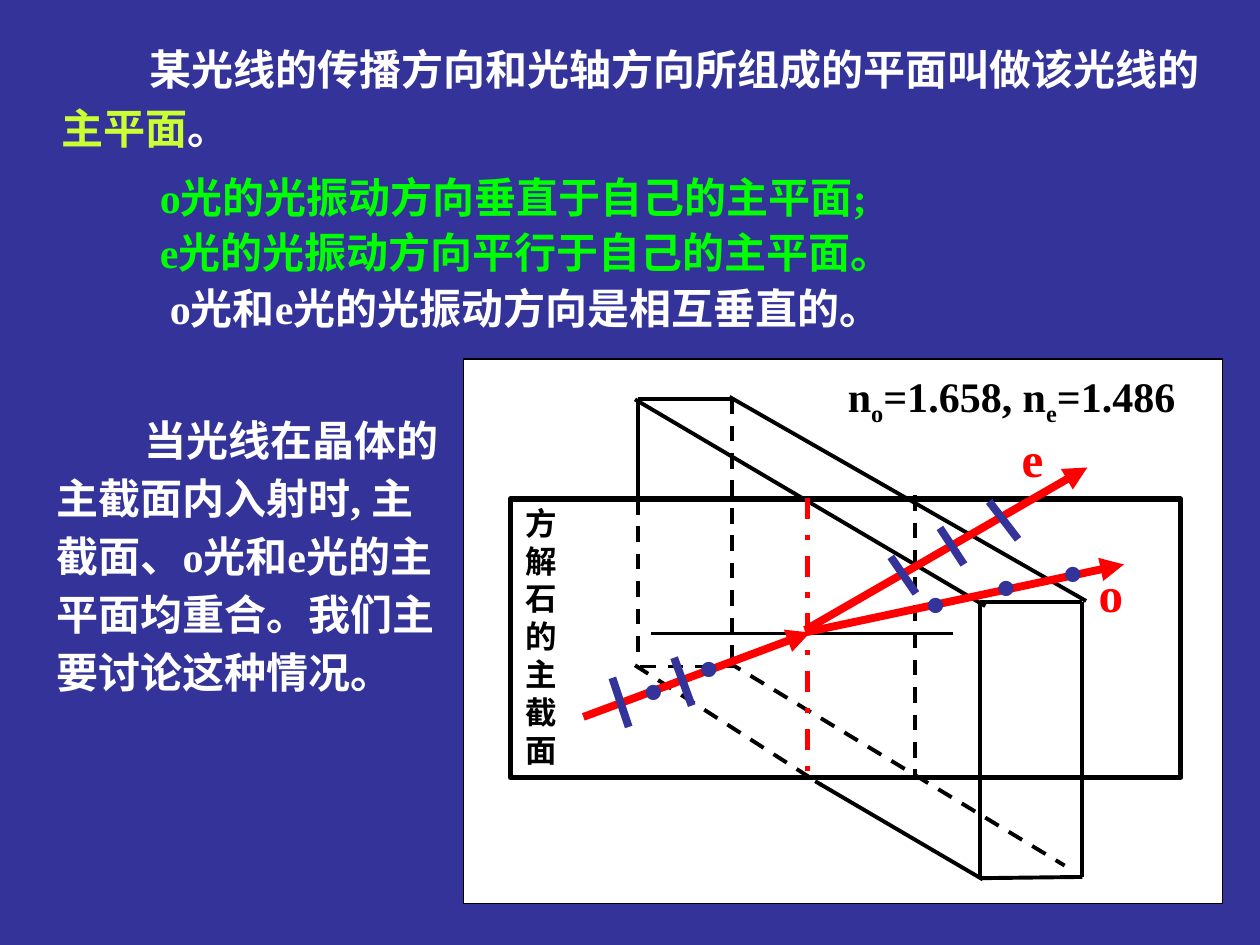
from lxml import etree
from pptx import Presentation
from pptx.dml.color import RGBColor
from pptx.enum.dml import MSO_LINE
from pptx.enum.shapes import MSO_CONNECTOR, MSO_SHAPE
from pptx.oxml.ns import qn
from pptx.util import Inches, Pt

RECT = MSO_SHAPE.RECTANGLE
STRAIGHT = MSO_CONNECTOR.STRAIGHT
DASH = MSO_LINE.DASH
DASH_DOT = MSO_LINE.DASH_DOT

BLUE, WHITE, BLACK = "333399", "FFFFFF", "000000"
RED, GREEN, LIME = "FF0000", "00FF00", "CCFF33"

CRYSTAL_SOLID = [
    (5.06, 3.17, 5.81, 3.17), (5.06, 3.17, 5.06, 3.94),
    (7.78, 4.79, 7.78, 6.98), (7.78, 4.78, 8.59, 4.78),
    (8.59, 4.78, 8.59, 6.96), (7.78, 6.97, 8.59, 6.96),
    (5.79, 3.15, 8.62, 4.77), (5.04, 3.17, 7.82, 4.81),
    (6.47, 6.2, 7.8, 6.98),
]
CRYSTAL_HIDDEN = [
    (5.06, 3.96, 5.06, 5.25), (5.81, 3.16, 5.81, 5.27),
    (5.08, 5.29, 5.83, 5.29), (5.77, 5.25, 8.45, 6.87),
    (5.04, 5.28, 6.52, 6.23), (7.26, 3.93, 7.26, 6.17),
]
RAYS = [(4.63, 5.69, 6.43, 5.02), (6.39, 5, 8.63, 3.71), (6.39, 5.02, 8.92, 4.48)]
PARALLEL_MARKS = [
    (4.86, 5.38, 4.99, 5.77), (5.35, 5.22, 5.49, 5.6),
    (7.07, 4.42, 7.27, 4.71), (7.46, 4.19, 7.65, 4.48), (7.85, 3.98, 8.08, 4.28),
]
PERPENDICULAR_DOTS = [(5.01, 5.15), (5.45, 4.97), (7.25, 4.46), (7.81, 4.33), (8.34, 4.22)]


def rgb(color):
    """Turn a hex string into a colour."""
    return RGBColor.from_string(color)


def add_run(p, text, size=24, color=WHITE, font="Times New Roman", bold=True, baseline=None):
    """Add a formatted run to a paragraph."""
    r = p.add_run()
    r.text = text
    r.font.size, r.font.bold, r.font.name = Pt(size), bold, font
    r.font.color.rgb = rgb(color)
    if baseline:
        r.font._element.set("baseline", str(baseline))


def add_text(s, box, paragraphs, spacing=None, indent=0, **style):
    """Add a text box; each paragraph is a list of (text, format) runs."""
    tf = s.shapes.add_textbox(*map(Inches, box)).text_frame
    tf.word_wrap = True
    for i, runs in enumerate(paragraphs):
        p = tf.add_paragraph() if i else tf.paragraphs[0]
        if spacing:
            p.line_spacing = spacing
        if indent:
            p._p.get_or_add_pPr().set("indent", str(Inches(indent)))
        for text, extra in runs:
            add_run(p, text, **{**style, **extra})
    return tf


def add_label(s, box, text, **style):
    """Add a text box with one run."""
    return add_text(s, box, [[(text, {})]], **style)


def add_rect(s, box, width, fill=None):
    """Add a black-edged rectangle."""
    sp = s.shapes.add_shape(RECT, *map(Inches, box))
    sp.shadow.inherit = False
    if fill:
        sp.fill.solid()
        sp.fill.fore_color.rgb = rgb(fill)
    else:
        sp.fill.background()
    sp.line.color.rgb = rgb(BLACK)
    sp.line.width = Pt(width)


def add_line(s, ends, color=BLACK, width=2.25, dash=None, arrow=False):
    """Add a straight line, optionally dashed or with an arrowhead."""
    sp = s.shapes.add_connector(STRAIGHT, *map(Inches, ends))
    sp.line.color.rgb = rgb(color)
    sp.line.width = Pt(width)
    if dash:
        sp.line.dash_style = dash
    if arrow:
        etree.SubElement(sp.line._get_or_add_ln(), qn("a:tailEnd"), type="triangle")
    etree.SubElement(sp._element.spPr, qn("a:effectLst"))


def add_explanation(s):
    """Add the definitions and the remark beside the diagram."""
    add_text(s, (0.39, 0.23, 9.26, 1.04), [[
        ("某光线的传播方向和光轴方向所组成的平面叫做该光线的", {}),
        ("主平面", {"color": LIME}),
        ("。", {}),
    ]], spacing=1.17, indent=0.7)
    add_label(s, (0.35, 3.18, 3.28, 2.48),
              "当光线在晶体的主截面内入射时, 主截面、o光和e光的主平面均重合。我们主要讨论这种情况。",
              spacing=1.15, indent=0.7)
    tf = add_text(s, (1.17, 1.27, 7.29, 1.42), [
        [("o光的光振动方向垂直于自己的主平面;", {"color": GREEN})],
        [("e光的光振动方向平行于自己的主平面。", {"color": GREEN})],
        [("o光和e光的光振动方向是相互垂直的。", {})],
    ], spacing=1.1)
    tf.paragraphs[2]._p.get_or_add_pPr().set("indent", str(Inches(0.08)))


def add_crystal(s):
    """Draw the crystal, its principal section and the optical axis."""
    add_rect(s, (3.68, 2.85, 6.02, 4.32), 0.75, WHITE)
    add_rect(s, (4.05, 3.96, 5.32, 2.21), 3)
    for ends in CRYSTAL_SOLID:
        add_line(s, ends)
    for ends in CRYSTAL_HIDDEN:
        add_line(s, ends, dash=DASH)
    add_line(s, (6.41, 3.95, 6.41, 6.15), RED, 3, DASH_DOT)
    add_line(s, (5.17, 5.03, 7.56, 5.03), width=1.5)
    sub = {"baseline": -25000}
    add_text(s, (6.63, 2.89, 2.99, 0.56), [[
        ("n", {}), ("o", sub), ("=1.658, n", {}), ("e", sub), ("=1.486", {}),
    ]], color=BLACK)
    add_label(s, (4.07, 3.95, 0.52, 2.2), "方解石的主截面", size=18, color=BLACK)


def add_rays(s):
    """Draw the rays with their polarisation marks and names."""
    for ends in RAYS:
        add_line(s, ends, RED, 4.5, arrow=True)
    for ends in PARALLEL_MARKS:
        add_line(s, ends, BLUE, 4.5)
    for left, top in PERPENDICULAR_DOTS:
        add_label(s, (left, top, 0.54, 0.64), "•", size=32, color=BLUE, font="Arial", bold=False)
    for name, left, top in (("o", 8.62, 4.42), ("e", 8.01, 3.35)):
        add_label(s, (left, top, 0.58, 0.57), name, size=28, color=RED)


def main():
    """Build the slide and save it."""
    prs = Presentation()
    prs.slide_width, prs.slide_height = Inches(10), Inches(7.5)
    s = prs.slides.add_slide(prs.slide_layouts[6])
    s.background.fill.solid()
    s.background.fill.fore_color.rgb = rgb(BLUE)
    add_explanation(s)
    add_crystal(s)
    add_rays(s)
    prs.save("out.pptx")


if __name__ == "__main__":
    main()
